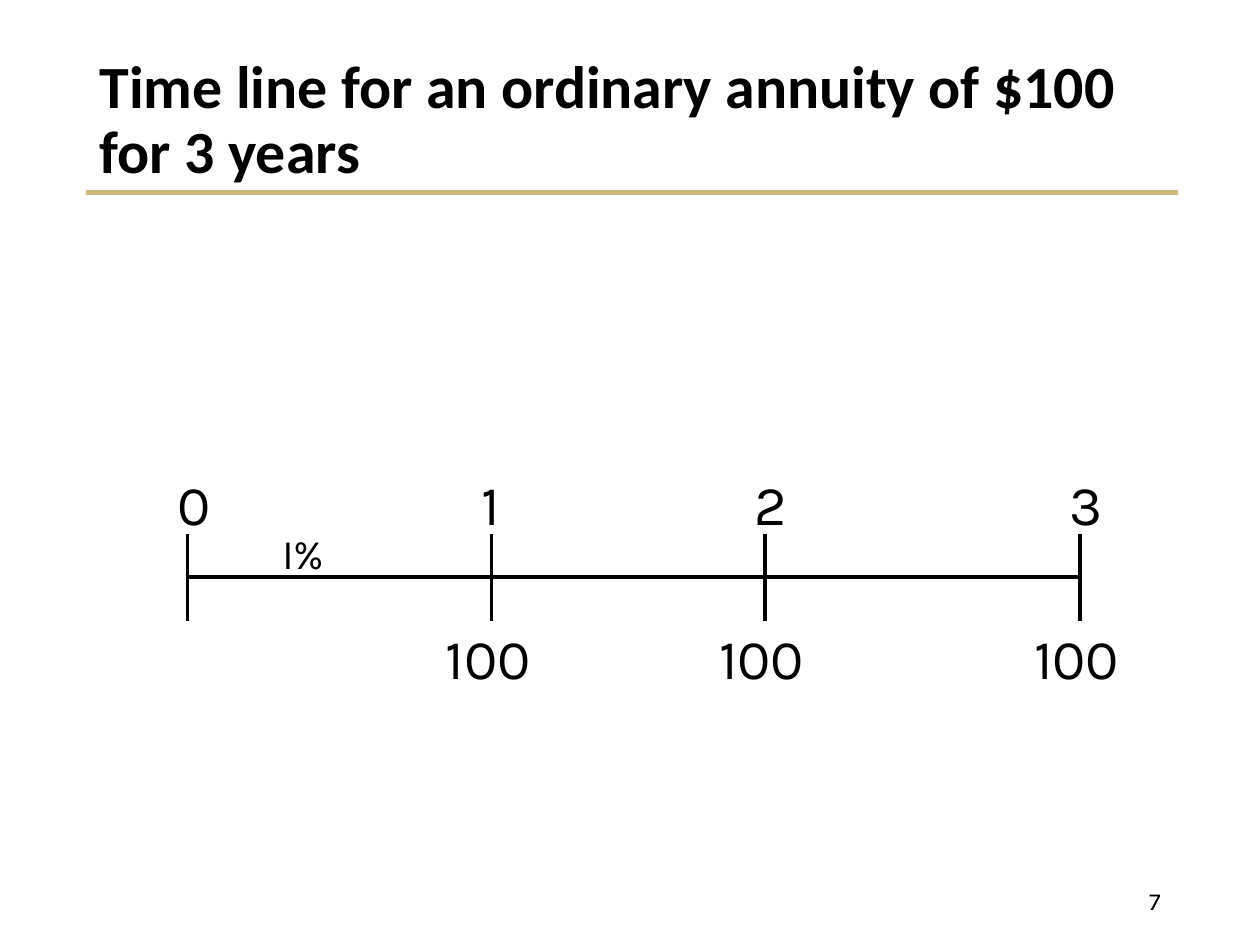
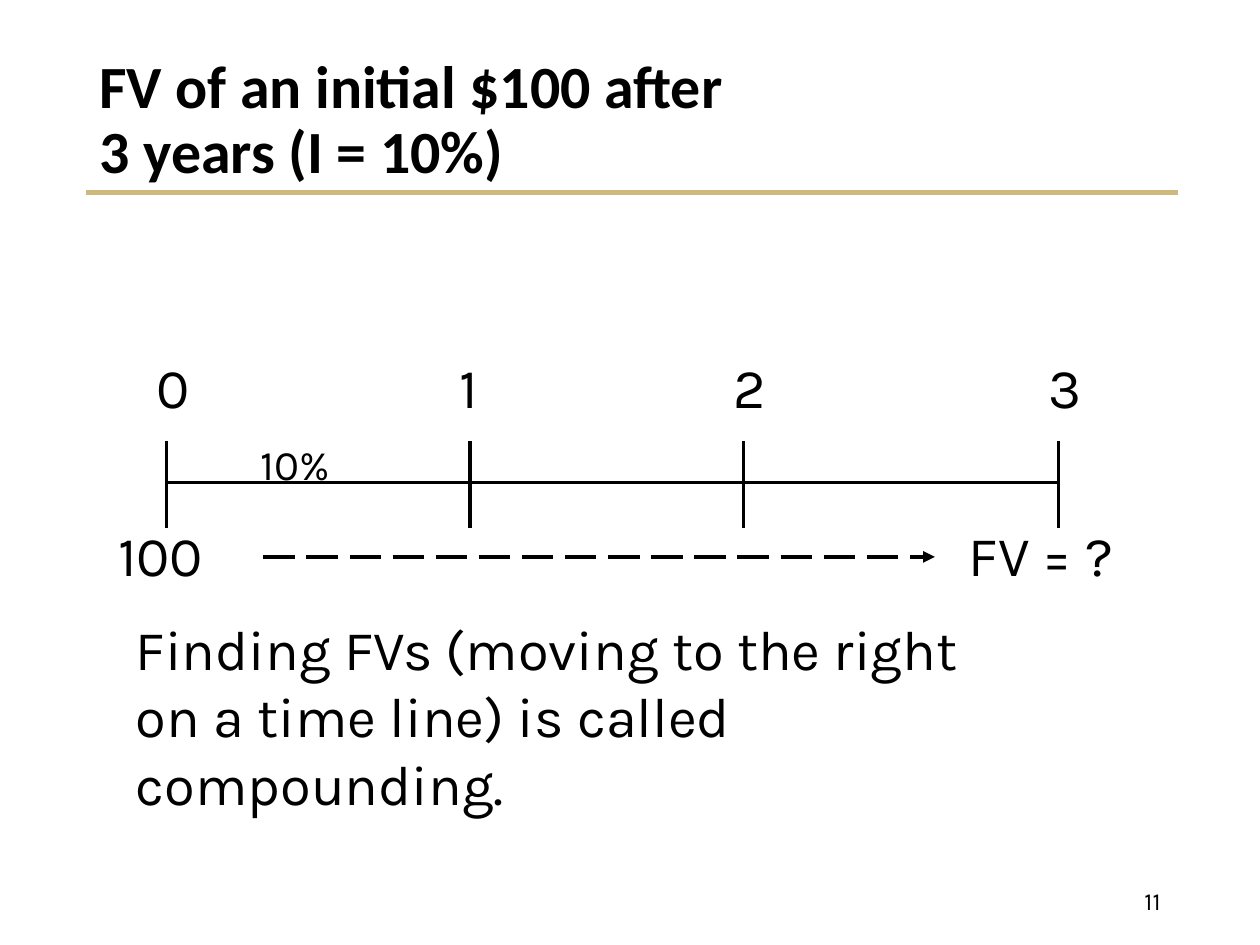
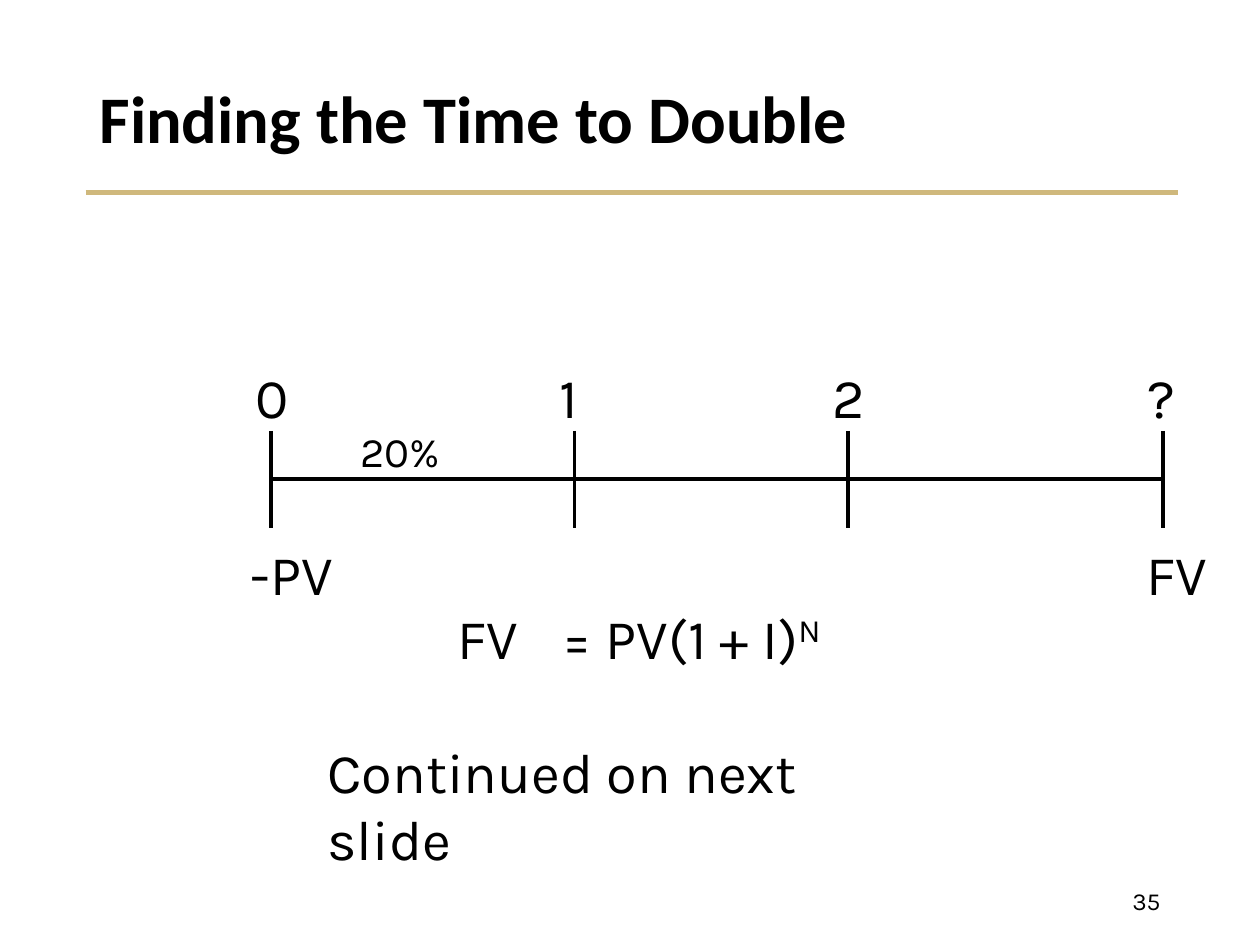
"""Build three time-value-of-money slides with time lines."""
from lxml import etree
from pptx import Presentation
from pptx.dml.color import RGBColor
from pptx.enum.dml import MSO_LINE
from pptx.enum.shapes import MSO_CONNECTOR
from pptx.enum.text import MSO_ANCHOR, MSO_AUTO_SIZE, PP_ALIGN
from pptx.oxml.ns import qn
from pptx.util import Inches, Pt

COLORS = {"text": "000000", "rule": "CFB87C"}
TITLE_FONT, BODY_FONT = "Calibri", "Karla"
STRAIGHT = MSO_CONNECTOR.STRAIGHT
LONG_DASH = MSO_LINE.LONG_DASH
MIDDLE, TOP = MSO_ANCHOR.MIDDLE, MSO_ANCHOR.TOP
LEFT, RIGHT = PP_ALIGN.LEFT, PP_ALIGN.RIGHT
NO_FIT, GROW = MSO_AUTO_SIZE.NONE, MSO_AUTO_SIZE.SHAPE_TO_FIT_TEXT
TICKS = (0, 2.41, 4.58, 7.08)


def set_font(font, size, name=BODY_FONT, bold=False):
    """Apply the deck's font values."""
    for key, value in {"name": name, "size": Pt(size), "bold": bold}.items():
        setattr(font, key, value)
    font.color.rgb = RGBColor.from_string(COLORS["text"])


def add_line(s, x1, y1, x2, y2, width=2, color="text", dash=None, arrow=False):
    """Draw a straight line, optionally dashed or with an arrowhead."""
    line = s.shapes.add_connector(STRAIGHT, *map(Inches, (x1, y1, x2, y2)))
    line.line.color.rgb = RGBColor.from_string(COLORS[color])
    line.line.width = Pt(width)
    if dash:
        line.line.dash_style = dash
    if arrow:
        etree.SubElement(line.line._get_or_add_ln(), qn("a:tailEnd"), type="triangle")
    etree.SubElement(line._element.spPr, qn("a:effectLst"))


def add_text(s, at, paragraphs, size=32, wrap=False, fit=GROW, anchor=TOP, align=LEFT):
    """Add a text box and return its text frame."""
    tf = s.shapes.add_textbox(*map(Inches, at)).text_frame
    for key, value in {"word_wrap": wrap, "auto_size": fit, "vertical_anchor": anchor}.items():
        setattr(tf, key, value)
    for i, text in enumerate(paragraphs):
        p = tf.add_paragraph() if i else tf.paragraphs[0]
        p.alignment = align
        r = p.add_run()
        r.text = text
        set_font(r.font, size)
    return tf


def add_slide(prs, title, number, title_size=34.2):
    """Add a slide with its title, gold rule and page number."""
    s = prs.slides.add_slide(prs.slide_layouts[5])
    add_line(s, 0.68, 1.53, 9.35, 1.53, 3, "rule")
    box = s.shapes.title
    for key, value in {"left": 0.69, "top": 0.4, "width": 8.62, "height": 1.13}.items():
        setattr(box, key, Inches(value))
    tf = box.text_frame
    for key, value in {"word_wrap": True, "auto_size": NO_FIT, "vertical_anchor": MIDDLE}.items():
        setattr(tf, key, value)
    p = tf.paragraphs[0]
    p.text = title
    p.alignment, p.line_spacing = LEFT, 0.9
    for r in p.runs:
        set_font(r.font, title_size, TITLE_FONT, True)
    add_text(s, (7.06, 6.95, 2.25, 0.4), [number], 14, True, NO_FIT, MIDDLE, RIGHT)
    return s


def add_time_line(s, left, tick_top, tick_height, axis_y, labels, label_top, label_shift=0.18):
    """Draw the axis, its ticks and the period labels."""
    add_line(s, left, axis_y, left + TICKS[-1], axis_y)
    for offset, label in zip(TICKS, labels):
        x = left + offset
        add_line(s, x, tick_top, x, tick_top + tick_height)
        add_text(s, (x - label_shift, label_top, 0.44, 0.63), [label])


def add_annuity(prs):
    """Add the ordinary annuity slide."""
    s = add_slide(prs, "Time line for an ordinary annuity of $100 for 3 years", "7")
    left = 1.49
    add_time_line(s, left, 4.24, 0.69, 4.58, "0123", 3.68)
    for offset in TICKS[1:]:
        add_text(s, (left + offset - 0.46, 4.9, 0.93, 0.63), ["100"])
    add_text(s, (2.14, 4.14, 0.65, 0.5), ["I%"], 24)


def add_future_value(prs):
    """Add the compounding slide."""
    s = add_slide(prs, "FV of an initial $100 after\v3 years (I = 10%)", "11")
    add_time_line(s, 1.32, 3.5, 0.69, 3.83, "0123", 2.75)
    add_text(s, (1.97, 3.43, 0.89, 0.5), ["10%"], 24)
    add_text(s, (0.84, 4.08, 0.93, 0.63), ["100"])
    add_line(s, 2.09, 4.42, 7.42, 4.42, 2.25, dash=LONG_DASH, arrow=True)
    add_text(s, (7.59, 4.08, 1.51, 0.63), ["FV = ?"])
    add_text(s, (0.98, 4.83, 7.68, 1.16),
             ["Finding FVs (moving to the right", "on a time line) is called compounding."],
             wrap=True)


def add_doubling(prs):
    """Add the time to double slide."""
    s = add_slide(prs, "Finding the Time to Double", "35", 38)
    add_time_line(s, 2.15, 3.42, 0.77, 3.8, "012?", 2.83, 0.22)
    add_text(s, (2.76, 3.33, 0.89, 0.5), ["20%"], 24)
    add_text(s, (1.89, 4.23, 0.88, 0.64), ["-PV"])
    add_text(s, (9, 4.23, 0.7, 0.64), ["FV"])
    tf = add_text(s, (2.5, 4.74, 4.83, 1.7),
                  ["\tFV\t= PV(1 + I)", "Continued on next slide"], wrap=True)
    formula, note = tf.paragraphs
    tabs = etree.SubElement(formula._p.get_or_add_pPr(), qn("a:tabLst"))
    for stop in (1.03, 1.87):
        etree.SubElement(tabs, qn("a:tab"), pos=str(Inches(stop)), algn="l")
    r = formula.add_run()
    r.text = "N"
    set_font(r.font, 32)
    r.font._element.set("baseline", "30000")
    note.space_before = Pt(38)


def main():
    """Build and save the deck."""
    prs = Presentation()
    prs.slide_width, prs.slide_height = Inches(10), Inches(7.5)
    add_annuity(prs)
    add_future_value(prs)
    add_doubling(prs)
    prs.save("out.pptx")


if __name__ == "__main__":
    main()
